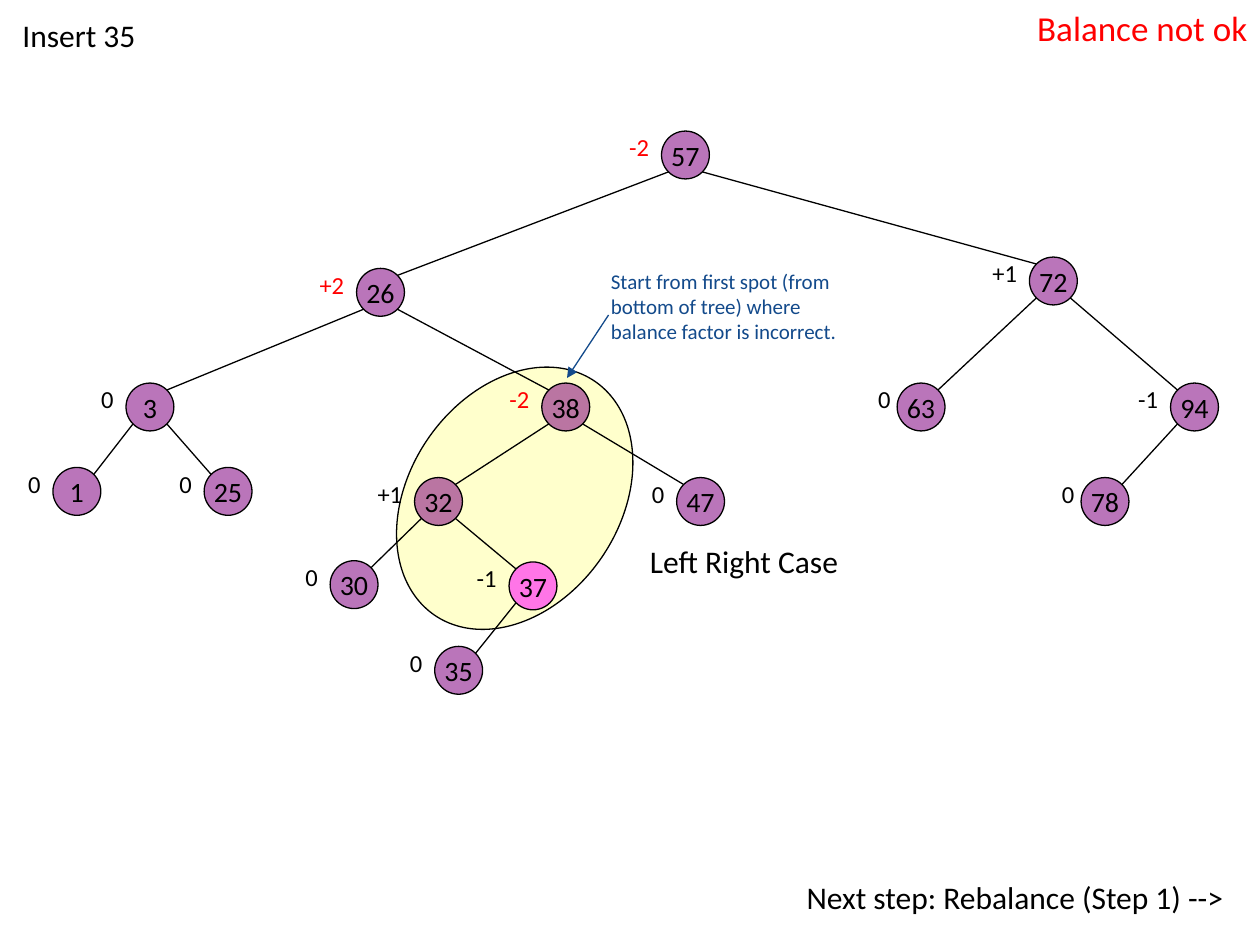
from dataclasses import dataclass
from math import sqrt

from lxml.etree import SubElement
from pptx import Presentation
from pptx.dml.color import RGBColor
from pptx.enum.shapes import MSO_CONNECTOR, MSO_SHAPE
from pptx.enum.text import MSO_ANCHOR, MSO_AUTO_SIZE, PP_ALIGN
from pptx.oxml.ns import qn
from pptx.util import Inches, Pt


@dataclass(frozen=True)
class Theme:
    font: str = "Calibri"
    black: str = "000000"
    alert: str = "FF0000"
    note: str = "134A8B"
    node: str = "800080"
    pivot: str = "FF00FF"
    highlight: str = "FFFF00"
    node_opacity: int = 54
    highlight_opacity: int = 20
    status_size: int = 20
    heading_size: int = 18
    key_size: int = 16
    balance_size: int = 14
    note_size: int = 12
    line_width: float = 0.75


NODE_SIZE = 0.38
LABEL_HEIGHT = 0.33
LABEL_RISE = 0.04
SNUG_LABEL = 0.25

# key: (left, top, balance factor, label width)
NODES = {
    3: (1, 3.04, "0", 0.5),
    25: (1.62, 3.71, "0", 0.42),
    26: (2.83, 2.13, "+2", 0.92),
    57: (5.25, 1.04, "-2", 1.17),
    72: (8.17, 2.04, "+1", 0.67),
    94: (9.29, 3.04, "-1", 0.58),
    78: (8.58, 3.79, "0", SNUG_LABEL),
    63: (7.12, 3.04, "0", SNUG_LABEL),
    37: (4.04, 4.46, "-1", 0.63),
    47: (5.37, 3.79, "0", 0.63),
    38: (4.3, 3.04, "-2", 0.71),
    1: (0.42, 3.71, "0", 0.5),
    30: (2.62, 4.45, "0", 0.45),
    32: (3.29, 3.79, "+1", 0.45),
    35: (3.45, 5.13, "0", 0.63),
}

# parent: (left child, right child)
CHILDREN = {
    57: (26, 72),
    26: (3, 38),
    72: (63, 94),
    3: (1, 25),
    38: (32, 47),
    94: (78, None),
    32: (30, 37),
    37: (35, None),
}


def write_text(shape, text, *, theme, size, color, align=PP_ALIGN.LEFT, wrap=True):
    frame = shape.text_frame
    frame.word_wrap = wrap
    paragraph = frame.paragraphs[0]
    paragraph.text = text
    paragraph.alignment = align
    paragraph.font.name = theme.font
    paragraph.font.size = Pt(size)
    paragraph.font.color.rgb = RGBColor.from_string(color)
    return frame


def node_corner(key, side, end):
    """Point on a node's rim at 45 degrees; side -1 is left, end -1 is top."""
    left, top, *_ = NODES[key]
    radius = NODE_SIZE / 2
    reach = radius / sqrt(2)
    return left + radius + side * reach, top + radius + end * reach


class TreeSlide:
    def __init__(self, presentation, theme):
        self.theme = theme
        self.slide = presentation.slides.add_slide(presentation.slide_layouts[6])

    def text(self, text, left, top, width, height, shapes=None, **format):
        shapes = shapes or self.slide.shapes
        box = shapes.add_textbox(*map(Inches, (left, top, width, height)))
        format = {"color": self.theme.black, **format}
        frame = write_text(box, text, theme=self.theme, **format)
        frame.auto_size = MSO_AUTO_SIZE.SHAPE_TO_FIT_TEXT
        return frame

    def line(self, start, end, color, arrow=False):
        connector = self.slide.shapes.add_connector(
            MSO_CONNECTOR.STRAIGHT, *map(Inches, (*start, *end)))
        connector.line.color.rgb = RGBColor.from_string(color)
        connector.line.width = Pt(self.theme.line_width)
        if arrow:
            SubElement(connector.line._get_or_add_ln(), qn("a:tailEnd"), type="triangle")
        SubElement(connector._element.spPr, qn("a:effectLst"))

    def ellipse(self, left, top, width, height, color, opacity, shapes=None):
        shapes = shapes or self.slide.shapes
        shape = shapes.add_shape(
            MSO_SHAPE.OVAL, *map(Inches, (left, top, width, height)))
        shape.shadow.inherit = False
        shape.fill.solid()
        shape.fill.fore_color.rgb = RGBColor.from_string(color)
        fill_color = shape._element.spPr.find(qn("a:solidFill")).find(qn("a:srgbClr"))
        SubElement(fill_color, qn("a:alpha"), val=str(opacity * 1000))
        shape.line.color.rgb = RGBColor.from_string(self.theme.black)
        shape.line.width = Pt(self.theme.line_width)
        return shape

    def node(self, key, left, top, balance, label_width, color):
        theme = self.theme
        shapes = self.slide.shapes.add_group_shape().shapes
        circle = self.ellipse(left, top, NODE_SIZE, NODE_SIZE, color,
                              theme.node_opacity, shapes)
        frame = write_text(circle, str(key), theme=theme, size=theme.key_size,
                           color=theme.black, align=PP_ALIGN.CENTER, wrap=False)
        frame.vertical_anchor = MSO_ANCHOR.MIDDLE
        unbalanced = abs(int(balance)) > 1
        self.text(balance, left - label_width, top - LABEL_RISE, label_width,
                  LABEL_HEIGHT, shapes, size=theme.balance_size,
                  color=theme.alert if unbalanced else theme.black,
                  align=PP_ALIGN.LEFT if label_width == SNUG_LABEL else PP_ALIGN.RIGHT)

    def edges(self):
        for parent, children in CHILDREN.items():
            for side, child in zip((-1, 1), children):
                if child is not None:
                    self.line(node_corner(parent, side, 1),
                              node_corner(child, -side, -1), self.theme.black)


def main():
    presentation = Presentation()
    presentation.slide_width = Inches(10)
    presentation.slide_height = Inches(7.5)
    theme = Theme()
    tree = TreeSlide(presentation, theme)

    highlight = tree.ellipse(3.25, 2.83, 1.67, 2.25, theme.highlight,
                             theme.highlight_opacity)
    highlight.rotation = 34.5

    tree.text("Insert 35", 0.08, 0.08, 9.92, 0.5, size=theme.heading_size)
    next_step = tree.text("Next step: Rebalance (Step 1) -->", 0, 6.92, 9.92, 0.5,
                          size=theme.heading_size, align=PP_ALIGN.RIGHT)
    next_step.margin_right = Inches(0.21)
    tree.text("Balance not ok", 7.33, 0, 2.67, 0.43, size=theme.status_size,
              color=theme.alert, align=PP_ALIGN.RIGHT)

    tree.edges()
    for key, placement in NODES.items():
        tree.node(key, *placement, color=theme.pivot if key == 37 else theme.node)

    tree.text("Left Right Case", 4.58, 4.25, 2.17, 0.4, size=theme.heading_size,
              align=PP_ALIGN.RIGHT)
    tree.text("Start from first spot (from bottom of tree) where balance factor "
              "is incorrect.", 4.75, 2.08, 2.17, 0.7, size=theme.note_size,
              color=theme.note)
    tree.line((4.83, 2.5), (4.5, 3), theme.note, arrow=True)

    presentation.save("out.pptx")


if __name__ == "__main__":
    main()
